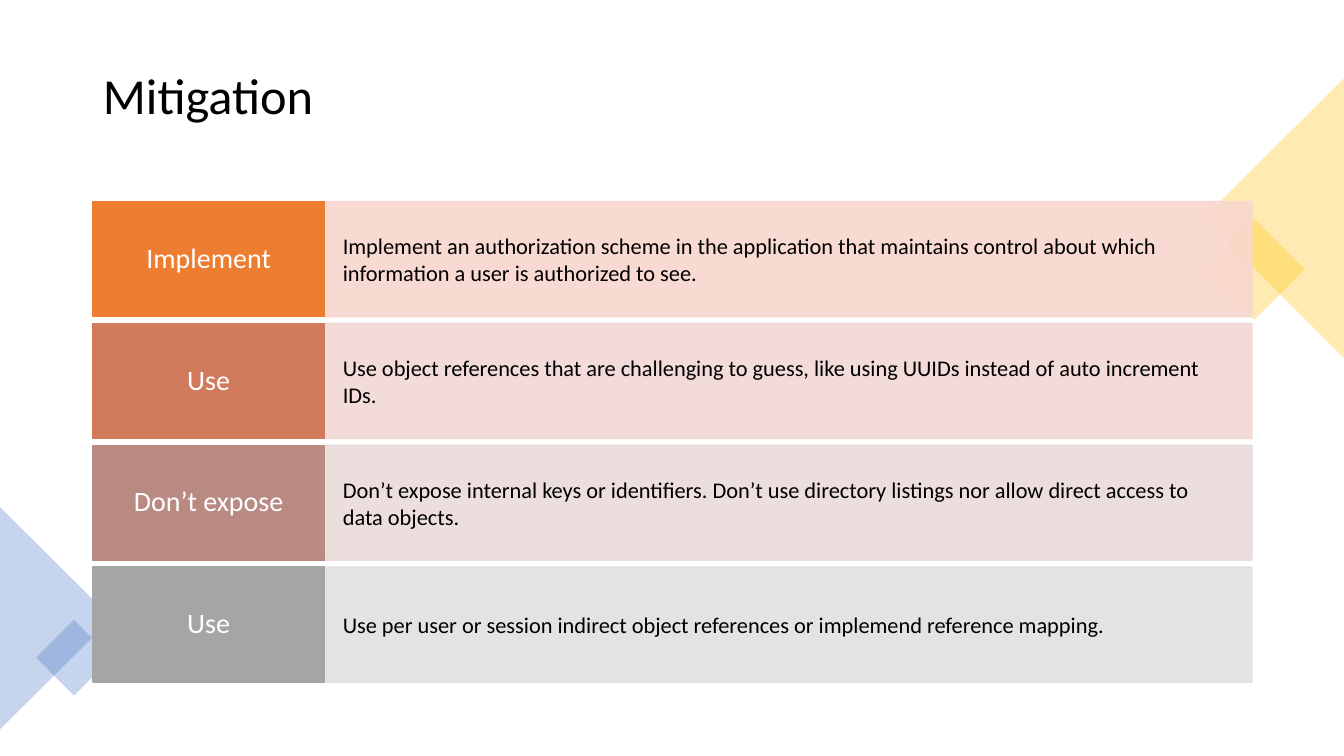
from lxml.etree import SubElement as Sub
from pptx import Presentation
from pptx.dml.color import RGBColor as RGB
from pptx.enum.shapes import MSO_SHAPE as Kind
from pptx.enum.text import MSO_ANCHOR as Anchor, PP_ALIGN as Align
from pptx.oxml.ns import qn
from pptx.util import Cm, Pt

TITLE = "Mitigation"
ROWS = [
    ("Implement", "ED7D31", "F8D7CE",
     "Implement an authorization scheme in the application that maintains "
     "control about which information a user is authorized to see."),
    ("Use", "D17B5C", "F1D8D4",
     "Use object references that are challenging to guess, like using UUIDs "
     "instead of auto increment IDs."),
    ("Don’t expose", "B98A82", "E9DBDA",
     "Don’t expose internal keys or identifiers. Don’t use directory listings "
     "nor allow direct access to data objects."),
    ("Use", "A5A5A5", "E1E1E1",
     "Use per user or session indirect object references or implemend "
     "reference mapping."),
]
DECOR = [
    (Kind.RECTANGLE, (30.71, 5.89, 1.8, 1.8), 45, "FFC000"),
    (Kind.ISOSCELES_TRIANGLE, (28.58, 3.73, 7.04, 3.53), 270, "FFC000"),
    (Kind.ISOSCELES_TRIANGLE, (-1.4, 14.17, 5.61, 2.82), 90, "4472C4"),
    (Kind.RECTANGLE, (1.19, 15.9, 1.35, 1.35), 45, "4472C4"),
]
LEFT, TOP, STEP, HIGH = 2.34, 5.08, 3.07, 2.9
TAG, WIDE = 5.84, 23.37


def paint(fill, color, alpha=100):
    fill.solid()
    fill.fore_color.rgb = RGB.from_string(color)
    if alpha < 100:
        for tint in fill._xPr.iter(qn("a:srgbClr")):
            Sub(tint, qn("a:alpha"), val=str(alpha * 1000))


def draw(kind, box, color, alpha=100):
    shape = slide.shapes.add_shape(kind, *map(Cm, box))
    shape.shadow.inherit = False
    paint(shape.fill, color, alpha)
    return shape


def write(frame, text, size, color, align, lead=1.0):
    frame.word_wrap = True
    frame.vertical_anchor = Anchor.MIDDLE
    para = frame.paragraphs[0]
    para.alignment = align
    para.line_spacing = lead
    run = para.add_run()
    run.text = text
    run.font.name = "Calibri"
    run.font.size = Pt(size)
    run.font.color.rgb = RGB.from_string(color)


def cell(box, color, alpha, pad, *words):
    shape = draw(Kind.RECTANGLE, box, color, alpha)
    shape.line.width = Pt(1)
    paint(shape.line.fill, color, alpha)
    frame = shape.text_frame
    frame.margin_left = frame.margin_right = Cm(pad[0])
    frame.margin_top = frame.margin_bottom = Cm(pad[1])
    write(frame, *words)


deck = Presentation()
deck.slide_width, deck.slide_height = Cm(33.87), Cm(19.05)
slide = deck.slides.add_slide(deck.slide_layouts[5])

title = slide.shapes.title
title.left, title.top, title.width, title.height = map(Cm, (LEFT, 0.89, 29.74, 3.15))
write(title.text_frame, TITLE, 36, "000000", Align.LEFT, 0.9)

for kind, box, turn, color in DECOR:
    shape = draw(kind, box, color, 30)
    shape.rotation = turn
    shape.line.fill.background()

for i, (name, dark, pale, text) in enumerate(ROWS):
    y = TOP + i * STEP
    cell((LEFT + TAG, y, WIDE, HIGH), pale, 90, (0.46, 0.74),
         text, 16, "000000", Align.LEFT)
    cell((LEFT, y, TAG, HIGH), dark, 100, (0.3, 0.28),
         name, 20, "FFFFFF", Align.CENTER, 0.9)

deck.save("out.pptx")
